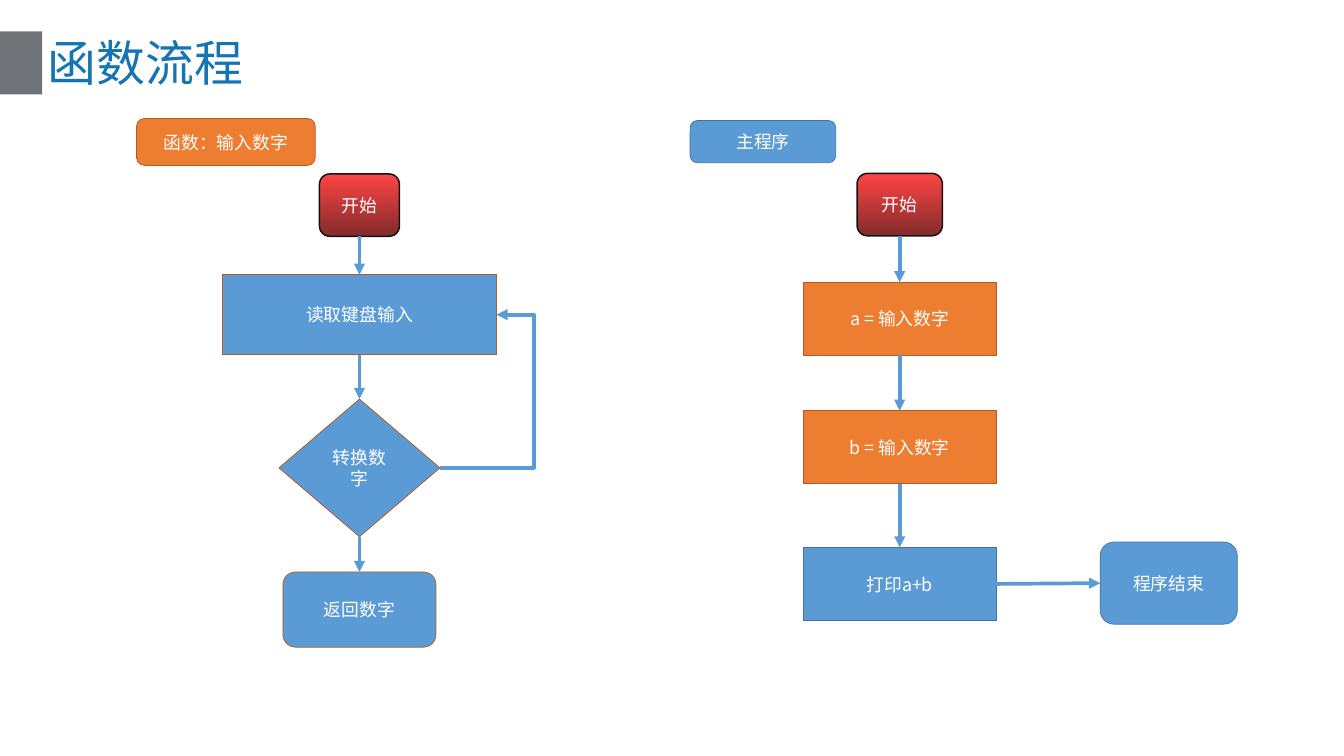
from lxml import etree
from pptx import Presentation, util as u
from pptx.dml.color import RGBColor
from pptx.enum import shapes, text
from pptx.oxml.ns import qn

WHITE = RGBColor(0xFF, 0xFF, 0xFF)
BLUE, BLUE_EDGE = RGBColor(0x5B, 0x9B, 0xD5), RGBColor(0x43, 0x73, 0x9E)
ORANGE, ORANGE_EDGE = RGBColor(0xED, 0x7D, 0x31), RGBColor(0xAF, 0x5C, 0x24)
RED, DARK_RED = RGBColor(0xFE, 0x44, 0x44), RGBColor(0x83, 0x2B, 0x2B)
BLACK = RGBColor(0x14, 0x14, 0x14)
GREY, TITLE_BLUE = RGBColor(0x6F, 0x73, 0x78), RGBColor(0x14, 0x75, 0xB2)
FONT, START_FONT = "Noto Sans CJK SC", "Calibri"
RECT = shapes.MSO_SHAPE.RECTANGLE
ROUND = shapes.MSO_SHAPE.ROUNDED_RECTANGLE
DIAMOND = shapes.MSO_SHAPE.DIAMOND
TOP, LEFT, BOTTOM, RIGHT = range(4)  # connection sites


def grid(n):
    """Length of n grid cells; the slide has 252 columns and 141.7 rows."""
    return u.Inches(n / 10)


def add_run(p, words, size, color, font=FONT):
    r = p.add_run()
    r.text = words
    r.font.size, r.font.name = u.Pt(size), font
    r.font.color.rgb = color
    etree.SubElement(r._r.get_or_add_rPr(), qn("a:ea"), typeface=font)


def add_node(s, box, kind, words, fill, edge, font=FONT):
    sp = s.shapes.add_shape(kind, *map(grid, box))
    sp.shadow.inherit = False
    if fill is RED:
        sp.fill.gradient()
        sp.fill.gradient_angle = 270
        for stop, color in zip(sp.fill.gradient_stops, (RED, DARK_RED)):
            stop.color.rgb = color
        first, last = sp.fill.gradient_stops
        first.position, last.position = 0, 1
    else:
        sp.fill.solid()
        sp.fill.fore_color.rgb = fill
    sp.line.color.rgb = edge
    sp.line.width = u.Pt(2 if fill is RED else 1)
    tf = sp.text_frame
    tf.word_wrap = True
    tf.vertical_anchor = text.MSO_ANCHOR.MIDDLE
    p = tf.paragraphs[0]
    p.alignment = text.PP_ALIGN.CENTER
    add_run(p, words, 24, WHITE, font)
    return sp


def add_arrow(s, start, end, sites=(BOTTOM, TOP), bend=None):
    kind = shapes.MSO_CONNECTOR.ELBOW if bend else shapes.MSO_CONNECTOR.STRAIGHT
    c = s.shapes.add_connector(kind, 0, 0, 0, 0)
    c.begin_connect(start, sites[0])
    c.end_connect(end, sites[1])
    c.line.color.rgb, c.line.width = BLUE, u.Pt(5)
    etree.SubElement(c.line._get_or_add_ln(), qn("a:tailEnd"), type="triangle")
    sp_pr = c._element.spPr
    etree.SubElement(sp_pr, qn("a:effectLst"))
    if bend:
        guides = sp_pr.find(qn("a:prstGeom")).get_or_add_avLst()
        etree.SubElement(guides, qn("a:gd"), name="adj1",
                         fmla=f"val {round(bend * 100000)}")


def add_column(s, box, axis, steps):
    """Stack steps (top, width, height, look...) on an axis and chain them."""
    x, y = box
    nodes = [add_node(s, (x + axis - w / 2, y + top, w, h), *look)
             for top, w, h, *look in steps]
    for start, end in zip(nodes, nodes[1:]):
        add_arrow(s, start, end)
    return nodes


def title_bar(s, box):
    x, y, w, h = box
    # Grey block at the slide's edge
    sp = s.shapes.add_shape(RECT, *map(grid, (x, y, 7.9, h)))
    sp.shadow.inherit = False
    sp.fill.solid()
    sp.fill.fore_color.rgb = GREY
    sp.line.fill.background()
    # Title
    title = s.shapes.title
    title.left, title.top, title.width, title.height = map(
        grid, (x + 7.9, y - 0.2, w - 7.9, h + 0.2))
    tf = title.text_frame
    tf.auto_size = text.MSO_AUTO_SIZE.NONE
    tf.vertical_anchor = text.MSO_ANCHOR.MIDDLE
    p = tf.paragraphs[0]
    p.alignment = text.PP_ALIGN.LEFT
    add_run(p, "函数流程", 66, TITLE_BLUE)


def input_function(s, box):
    x, y = box
    add_node(s, (x, y, 33.5, 8.8), ROUND, "函数：输入数字", ORANGE, ORANGE_EDGE)
    start, read, convert, give_back = add_column(s, box, 41.8, [
        (10.4, 15, 11.7, ROUND, "开始", RED, BLACK, START_FONT),
        (29.3, 51.4, 15, RECT, "读取键盘输入", BLUE, ORANGE_EDGE),
        (52.6, 30.2, 25.8, DIAMOND, "转换数字", BLUE, ORANGE_EDGE),
        (85, 28.7, 14.1, ROUND, "返回数字", BLUE, ORANGE_EDGE)])
    # Loop back to reading
    add_arrow(s, convert, read, (RIGHT, RIGHT), bend=1.66)


def main_program(s, box):
    x, y = box
    add_node(s, (x, y + 0.4, 27.3, 7.9), ROUND, "主程序", BLUE, BLUE_EDGE)
    step = (36.1, 13.7, RECT)
    *_, show = add_column(s, box, 39.3, [
        (10.3, 16, 11.7, ROUND, "开始", RED, BLACK, START_FONT),
        (30.7, *step, "a = 输入数字", ORANGE, ORANGE_EDGE),
        (54.8, *step, "b = 输入数字", ORANGE, ORANGE_EDGE),
        (80.4, *step, "打印a+b", BLUE, BLUE_EDGE)])
    # Exit to the right
    end = add_node(s, (x + 76.9, y + 79.4, 25.7, 15.4), ROUND, "程序结束", BLUE, BLUE_EDGE)
    add_arrow(s, show, end, (RIGHT, LEFT))


prs = Presentation()
prs.slide_width, prs.slide_height = grid(252), grid(141.7)
s = prs.slides.add_slide(prs.slide_layouts[5])
title_bar(s, (0, 5.9, 244.1, 11.8))
input_function(s, (25.6, 22.2))
main_program(s, (129.4, 22.2))
prs.save("out.pptx")
